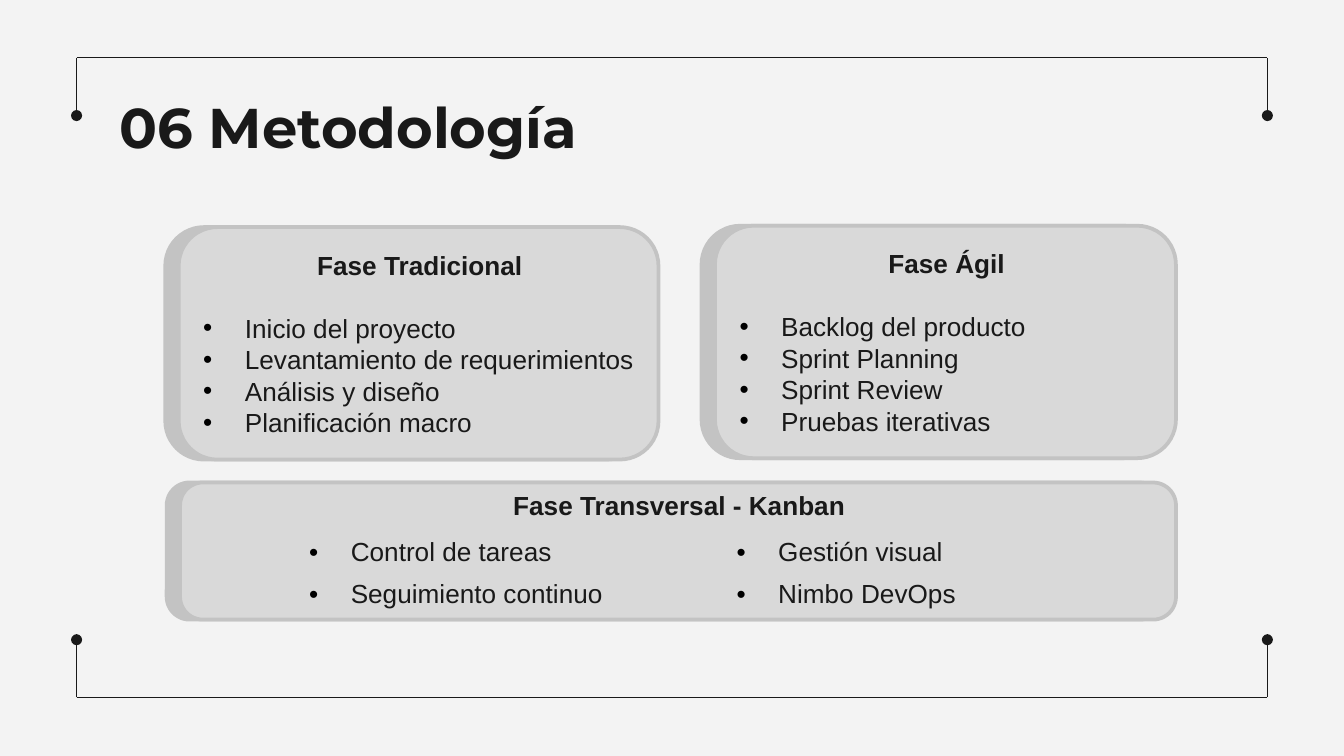
from lxml import etree
from pptx import Presentation
from pptx.dml.color import RGBColor
from pptx.enum.shapes import MSO_CONNECTOR as Line, MSO_SHAPE as Shape
from pptx.enum.text import MSO_ANCHOR as Anchor, PP_ALIGN as Align
from pptx.oxml.ns import qn
from pptx.util import Inches, Pt

# Content: box sizes are left, top, width, height of the front panel
TITLE = "06 Metodología"
CARDS = [
    {"heading": "Fase Tradicional", "at": (1.33, 1.69, 3.57, 1.73),
     "items": ["Inicio del proyecto", "Levantamiento de requerimientos",
               "Análisis y diseño", "Planificación macro"]},
    {"heading": "Fase Ágil", "at": (5.32, 1.68, 3.43, 1.73),
     "items": ["Backlog del producto", "Sprint Planning",
               "Sprint Review", "Pruebas iterativas"]},
    {"heading": "Fase Transversal - Kanban", "at": (1.34, 3.59, 7.41, 1.02),
     "items": []},
]
TASKS = [["Control de tareas", "Gestión visual"],
         ["Seguimiento continuo", "Nimbo DevOps"]]

COLORS = {"back": "F3F3F3", "ink": "191919", "edge": "C3C3C3",
          "panel": "D9D9D9", "bullet": "000000"}
BODY = {"name": "Arial", "size": Pt(14), "bold": False}
HEADING = {**BODY, "bold": True}
TITLE_FONT = {"name": "Montserrat", "size": Pt(30), "bold": True}
WIDTH = 10
HEIGHT = WIDTH * 9 / 16
LEFT, RIGHT, TOP, BOTTOM, ARM = 0.57, 9.43, 0.43, 5.19, 0.43
SHADE = 0.1
LINE_PITCH = Pt(16.9)


def color(name):
    return RGBColor.from_string(COLORS[name])


def assign(target, values):
    for name, value in values.items():
        setattr(target, name, value)


def write(para, text, font):
    span = para.add_run()
    span.text = text
    assign(span.font, font)
    span.font.color.rgb = color("ink")


def add_bullet(para):
    props = para._p.get_or_add_pPr()
    props.set("marL", str(Inches(0.31)))
    props.set("indent", str(-Inches(0.31)))
    tint = etree.SubElement(props, qn("a:buClr"))
    etree.SubElement(tint, qn("a:srgbClr"), val=COLORS["bullet"])
    etree.SubElement(props, qn("a:buFont"), typeface="Arial")
    etree.SubElement(props, qn("a:buChar"), char="•")


def add_line(page, start, end, dot=False):
    line = page.shapes.add_connector(Line.STRAIGHT, *map(Inches, start + end))
    line.line.color.rgb = color("ink")
    line.line.width = Pt(0.75)
    if dot:
        etree.SubElement(line.line._get_or_add_ln(), qn("a:tailEnd"), type="oval")
    etree.SubElement(line._element.spPr, qn("a:effectLst"))


def add_panel(page, at, fill):
    panel = page.shapes.add_shape(Shape.ROUNDED_RECTANGLE, *map(Inches, at))
    panel.shadow.inherit = False
    panel.fill.solid()
    panel.fill.fore_color.rgb = color(fill)
    panel.line.color.rgb = color("edge")
    panel.line.width = Pt(2)
    return panel


def add_card(page, heading, at, items):
    left, top, width, height = at
    add_panel(page, (left - SHADE, top, width, height), "edge")
    frame = add_panel(page, at, "panel").text_frame
    assign(frame, {"word_wrap": True, "margin_left": Inches(0.1),
                   "margin_right": Inches(0.08),
                   "margin_top": Inches(0.05 if items else 0),
                   "vertical_anchor": Anchor.MIDDLE if items else Anchor.TOP})
    para = frame.paragraphs[0]
    assign(para, {"alignment": Align.CENTER, "line_spacing": LINE_PITCH})
    if items:
        para.space_after = LINE_PITCH
    write(para, heading, HEADING)
    for item in items:
        para = frame.add_paragraph()
        assign(para, {"alignment": Align.LEFT, "line_spacing": LINE_PITCH})
        add_bullet(para)
        write(para, item, BODY)


def add_tasks(page):
    place = map(Inches, (2.2, 3.94, 6.36, 0.62))
    frame = page.shapes.add_table(len(TASKS), len(TASKS[0]), *place)
    table = frame.table
    assign(table, {"first_row": False, "horz_banding": False})
    # "No Style, No Grid" keeps the cells free of borders
    style = table._tbl.tblPr.find(qn("a:tableStyleId"))
    style.text = "{2D5ABB26-0587-4C30-8999-92F81FD0307C}"
    for r, row in enumerate(TASKS):
        for c, text in enumerate(row):
            cell = table.cell(r, c)
            cell.fill.background()
            assign(cell, {"margin_top": Inches(0.06), "margin_bottom": Inches(0.02)})
            para = cell.text_frame.paragraphs[0]
            add_bullet(para)
            write(para, text, BODY)


def main():
    deck = Presentation()
    assign(deck, {"slide_width": Inches(WIDTH), "slide_height": Inches(HEIGHT)})
    page = deck.slides.add_slide(deck.slide_layouts[6])
    page.background.fill.solid()
    page.background.fill.fore_color.rgb = color("back")

    # Frame: a bar with two dotted arms, above and below
    for y, arm in ((TOP, ARM), (BOTTOM, -ARM)):
        add_line(page, (LEFT, y), (RIGHT, y))
        for x in (LEFT, RIGHT):
            add_line(page, (x, y), (x, y + arm), dot=True)

    # Title
    box = page.shapes.add_textbox(*map(Inches, (0.79, 0.59, 8.43, 0.63)))
    assign(box.text_frame, {"word_wrap": True, "margin_top": Inches(0.1),
                            "margin_bottom": Inches(0.1)})
    write(box.text_frame.paragraphs[0], TITLE, TITLE_FONT)

    # Phases
    for card in CARDS:
        add_card(page, **card)
    add_tasks(page)
    deck.save("out.pptx")


if __name__ == "__main__":
    main()
